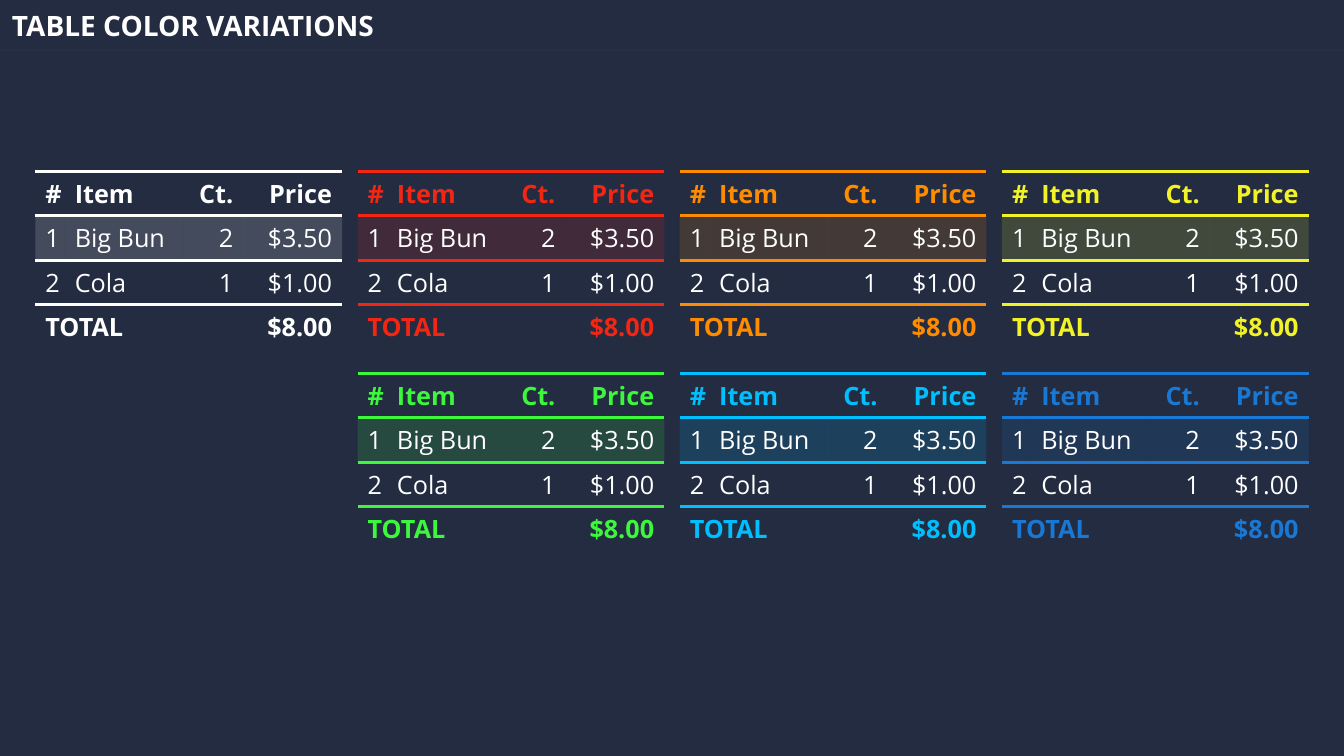
from lxml import etree
from pptx import Presentation, util as u
from pptx.dml.color import RGBColor
from pptx.enum import shapes, text
from pptx.oxml.ns import qn

# Content
TITLE = "TABLE COLOR VARIATIONS"
ROWS = [
    ("#", "Item", "Ct.", "Price"),
    ("1", "Big Bun", "2", "$3.50"),
    ("2", "Cola", "1", "$1.00"),
    ("TOTAL", "", "", "$8.00"),
]
# Table colours by place in the grid; None leaves a gap
GRID = [
    ("FFFFFF", "F22613", "FF8C00", "F1F227"),
    (None, "3CF73C", "00BFFF", "1978D4"),
]
FONT, WHITE, BACK = "Open Sans", "FFFFFF", "232C41"

# Measures in cm
WIDE, HIGH = 33.87, 19.05
BAR = 1.27
LEFT, TOP, STEP_X, STEP_Y = 0.89, 4.32, 8.12, 5.09
COLS = (0.74, 3.0, 1.5, 2.49)
ROW = 1.03
PLAIN = "{2D5ABB26-0587-4C30-8999-92F81FD0307C}"  # no style, no grid


def rgb(code):
    return RGBColor.from_string(code)


def write(para, words, size, color, bold):
    run = para.add_run()
    run.text = words
    font = run.font
    font.name, font.size, font.bold = FONT, u.Pt(size), bold
    font.color.rgb = rgb(color)


def fade(fill, share):
    """Let a solid fill show at the given percentage."""
    tone = fill.find(".//" + qn("a:srgbClr"))
    etree.SubElement(tone, qn("a:alpha"), val=str(share * 1000))


def rule(cell, sides, color):
    """Draw a coloured rule on the given sides, in schema order."""
    props = cell._tc.get_or_add_tcPr()
    for spot, side in enumerate(sides):
        line = etree.Element(qn("a:ln" + side), w=str(u.Pt(2.25)))
        solid = etree.SubElement(line, qn("a:solidFill"))
        etree.SubElement(solid, qn("a:srgbClr"), val=color)
        props.insert(spot, line)


def add_bill(slide, left, top, color):
    frame = slide.shapes.add_table(
        len(ROWS), len(COLS), u.Cm(left), u.Cm(top),
        u.Cm(sum(COLS)), u.Cm(ROW * len(ROWS)))
    table = frame.table
    table._tbl.tblPr.find(qn("a:tableStyleId")).text = PLAIN
    table.horz_banding = False
    for col, width in zip(table.columns, COLS):
        col.width = u.Cm(width)
    last = len(ROWS) - 1
    table.cell(last, 0).merge(table.cell(last, 1))

    sides = {0: "TB", 1: "T", last - 1: "B", last: "T"}
    for r, row in enumerate(ROWS):
        table.rows[r].height = u.Cm(ROW)
        strong = r in (0, last)
        for c, words in enumerate(row):
            cell = table.cell(r, c)
            cell.vertical_anchor = text.MSO_ANCHOR.MIDDLE
            para = cell.text_frame.paragraphs[0]
            if c > 1:
                para.alignment = text.PP_ALIGN.RIGHT
            if words:
                write(para, words, 18, color if strong else WHITE, strong)
            if r == 1:
                cell.fill.solid()
                cell.fill.fore_color.rgb = rgb(color)
                fade(cell._tc.tcPr, 15)
            rule(cell, sides[r], color)


def main():
    deck = Presentation()
    deck.slide_width, deck.slide_height = u.Cm(WIDE), u.Cm(HIGH)
    slide = deck.slides.add_slide(deck.slide_layouts[5])
    slide.background.fill.solid()
    slide.background.fill.fore_color.rgb = rgb(BACK)

    # Hairline under the title bar
    line = slide.shapes.add_connector(
        shapes.MSO_CONNECTOR.STRAIGHT, 0, u.Cm(BAR), u.Cm(WIDE), u.Cm(BAR))
    line.line.width = u.Pt(0.1)
    line.line.color.rgb = rgb(WHITE)
    props = line._element.spPr
    fade(props, 20)
    etree.SubElement(props, qn("a:effectLst"))

    # Title
    title = slide.shapes.title
    title.left, title.top = 0, 0
    title.width, title.height = u.Cm(29.64), u.Cm(BAR)
    frame = title.text_frame
    frame.margin_left = u.Cm(0.3)
    frame.margin_top = frame.margin_right = frame.margin_bottom = 0
    frame.vertical_anchor = text.MSO_ANCHOR.MIDDLE
    para = frame.paragraphs[0]
    para.alignment = text.PP_ALIGN.LEFT
    para.space_after = u.Pt(6)
    write(para, TITLE, 20, WHITE, True)

    # Tables
    for y, band in enumerate(GRID):
        for x, color in enumerate(band):
            if color:
                add_bill(slide, LEFT + x * STEP_X, TOP + y * STEP_Y, color)

    deck.save("out.pptx")


if __name__ == "__main__":
    main()
